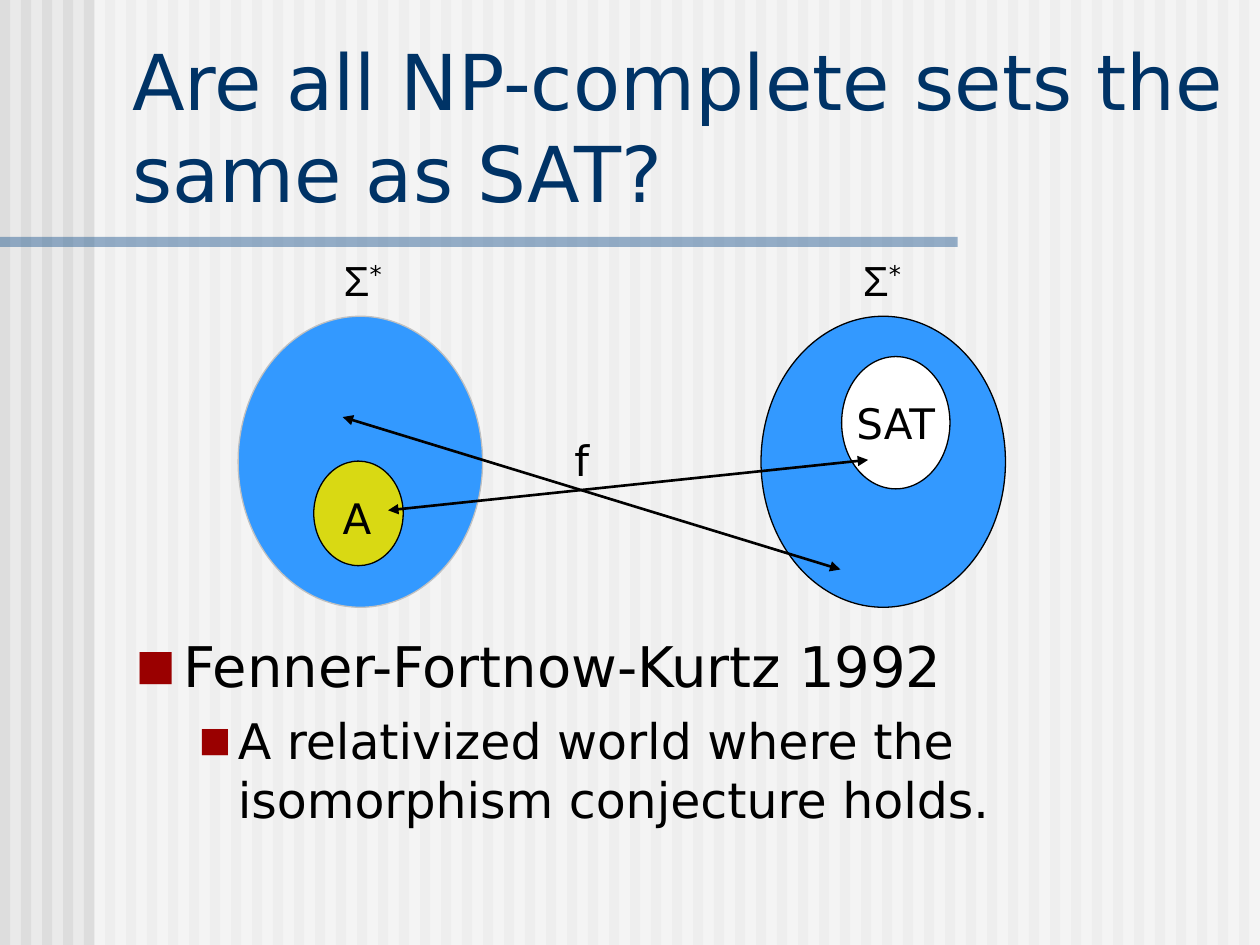
from dataclasses import dataclass
from typing import Any

from lxml.etree import SubElement as Sub
from pptx import Presentation
from pptx.dml.color import RGBColor as Rgb
from pptx.enum.shapes import MSO_CONNECTOR as Conn, MSO_SHAPE as Kind
from pptx.enum.text import MSO_ANCHOR as Anchor, PP_ALIGN as Align
from pptx.oxml.ns import qn
from pptx.util import Inches, Pt


@dataclass(frozen=True)
class Theme:
    back: str = "EAEAEA"
    stripe: str = "DDDDDD"
    white: str = "FFFFFF"
    rule: str = "336699"
    head: str = "003366"
    ink: str = "000000"
    blue: str = "3399FF"
    lime: str = "D9D913"
    grey: str = "C0C0C0"
    mark: str = "9A0000"
    font: str = "DejaVu Sans"
    greek: str = "Arial"
    title: int = 44
    body: int = 32
    sub: int = 28
    label: int = 24


@dataclass(frozen=True)
class Box:
    x: float
    y: float
    w: float
    h: float

    def place(self) -> tuple:
        return tuple(Inches(v) for v in (self.x, self.y, self.w, self.h))


@dataclass(frozen=True)
class Oval:
    box: Box
    fill: str
    line: str
    text: str = ""


@dataclass(frozen=True)
class Label:
    box: Box
    text: str
    font: str
    power: str = ""


@dataclass(frozen=True)
class Arrow:
    x1: float
    y1: float
    x2: float
    y2: float


@dataclass(frozen=True)
class Point:
    text: str
    size: int
    level: int
    left: float
    hang: float
    gap: int
    scale: int


T = Theme()


def apply(item: Any, form: dict) -> None:
    for name, value in form.items():
        setattr(item, name, value)


def write(para: Any, text: str, size: int, color: str = T.ink, font: str = T.font) -> Any:
    run = para.add_run()
    run.text = text
    apply(run.font, {"size": Pt(size), "name": font})
    run.font.color.rgb = Rgb.from_string(color)
    return run


def shape(slide: Any, kind: Kind, box: Box, fill: str, line: str = "", alpha: int = 100) -> Any:
    item = slide.shapes.add_shape(kind, *box.place())
    item.shadow.inherit = False
    item.fill.solid()
    item.fill.fore_color.rgb = Rgb.from_string(fill)
    if alpha < 100:
        color = item.fill._xPr.find(".//" + qn("a:srgbClr"))
        Sub(color, qn("a:alpha"), val=str(alpha * 1000))
    if line:
        item.line.color.rgb = Rgb.from_string(line)
        item.line.width = Pt(0.75)
    else:
        item.line.fill.background()
    return item


def frame(slide: Any, box: Box, form: dict) -> Any:
    text = slide.shapes.add_textbox(*box.place()).text_frame
    apply(text, form)
    return text


def draw_oval(slide: Any, oval: Oval) -> None:
    text = shape(slide, Kind.OVAL, oval.box, oval.fill, oval.line).text_frame
    if oval.text:
        apply(text, {"word_wrap": False, "vertical_anchor": Anchor.MIDDLE})
        text.paragraphs[0].alignment = Align.CENTER
        write(text.paragraphs[0], oval.text, T.label)


def draw_label(slide: Any, label: Label) -> None:
    para = frame(slide, label.box, {"word_wrap": False}).paragraphs[0]
    write(para, label.text, T.label, font=label.font)
    if label.power:
        run = write(para, label.power, T.label)
        run.font._element.set("baseline", "30000")


def draw_arrow(slide: Any, arrow: Arrow) -> None:
    ends = (Inches(v) for v in (arrow.x1, arrow.y1, arrow.x2, arrow.y2))
    item = slide.shapes.add_connector(Conn.STRAIGHT, *ends)
    item.line.color.rgb = Rgb.from_string(T.ink)
    item.line.width = Pt(1.5)
    for end in ("a:headEnd", "a:tailEnd"):
        Sub(item.line._get_or_add_ln(), qn(end), type="triangle")
    Sub(item._element.spPr, qn("a:effectLst"))


def draw_point(para: Any, point: Point) -> None:
    para.level = point.level
    props = para._p.get_or_add_pPr()
    props.set("marL", str(Inches(point.left)))
    props.set("indent", str(-Inches(point.hang)))
    Sub(Sub(props, qn("a:buClr")), qn("a:srgbClr"), val=T.mark)
    Sub(props, qn("a:buSzPct"), val=str(point.scale * 1000))
    Sub(props, qn("a:buFont"), typeface=T.font)
    Sub(props, qn("a:buChar"), char="■")
    para.space_before = Pt(point.gap)
    write(para, point.text, point.size)


def main() -> None:
    deck = Presentation()
    apply(deck, {"slide_width": Inches(10), "slide_height": Inches(7.5)})
    slide = deck.slides.add_slide(deck.slide_layouts[6])

    # Striped background, veil and rule
    slide.background.fill.solid()
    slide.background.fill.fore_color.rgb = Rgb.from_string(T.back)
    for i in range(60):
        shape(slide, Kind.RECTANGLE, Box(i / 6, 0, 0.08, 7.5), T.stripe)
    shape(slide, Kind.RECTANGLE, Box(0.75, 0, 9.25, 7.5), T.white, alpha=50)
    shape(slide, Kind.RECTANGLE, Box(0, 1.88, 7.6, 0.08), T.rule, alpha=50)

    # Title
    title = frame(slide, Box(0.95, 0.21, 8.93, 1.57),
                  {"word_wrap": True, "vertical_anchor": Anchor.BOTTOM})
    write(title.paragraphs[0], "Are all NP-complete sets the same as SAT?", T.title, T.head)

    # Sets
    for oval in (
        Oval(Box(1.89, 2.51, 1.94, 2.31), T.blue, T.grey),
        Oval(Box(2.49, 3.66, 0.71, 0.83), T.lime, T.ink),
        Oval(Box(6.04, 2.51, 1.94, 2.31), T.blue, T.ink),
        Oval(Box(6.68, 2.83, 0.86, 1.05), T.white, T.ink, "SAT"),
    ):
        draw_oval(slide, oval)

    # Mappings
    for arrow in (Arrow(3.08, 4.05, 6.89, 3.65), Arrow(2.72, 3.31, 6.67, 4.52)):
        draw_arrow(slide, arrow)

    # Labels
    for label in (
        Label(Box(2.62, 3.86, 0.41, 0.5), "A", T.font),
        Label(Box(2.63, 1.97, 0.5, 0.5), "Σ", T.greek, "*"),
        Label(Box(6.75, 1.97, 0.5, 0.5), "Σ", T.greek, "*"),
        Label(Box(4.46, 3.4, 0.31, 0.5), "f", T.font),
    ):
        draw_label(slide, label)

    # Bullets
    body = frame(slide, Box(0.98, 4.92, 8.87, 2.25),
                 {"word_wrap": True, "margin_top": Inches(0.09)})
    draw_point(body.paragraphs[0],
               Point("Fenner-Fortnow-Kurtz 1992", T.body, 0, 0.38, 0.38, 0, 75))
    draw_point(body.add_paragraph(),
               Point("A relativized world where the isomorphism conjecture holds.",
                     T.sub, 1, 0.81, 0.31, 7, 70))

    deck.save("out.pptx")


if __name__ == "__main__":
    main()
